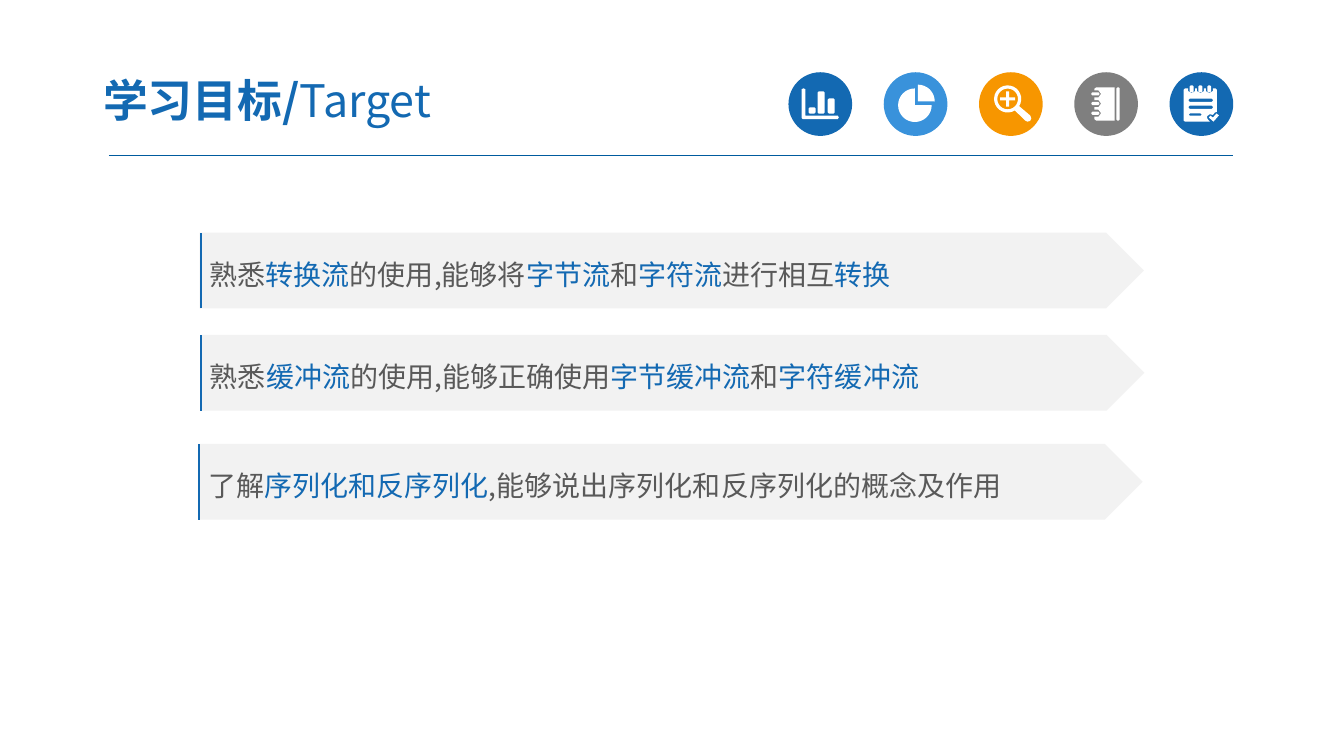
from math import cos, radians, sin

from lxml.etree import SubElement
from pptx import Presentation
from pptx.dml.color import RGBColor
from pptx.enum.shapes import MSO_CONNECTOR as Connector, MSO_SHAPE as Shape
from pptx.enum.text import MSO_ANCHOR as Anchor, MSO_AUTO_SIZE as AutoSize, PP_ALIGN as Align
from pptx.oxml.ns import qn
from pptx.util import Pt

FONT = "Noto Sans CJK SC"
BLUE = RGBColor(0x13, 0x69, 0xB2)
SKY = RGBColor(0x39, 0x92, 0xDB)
ORANGE = RGBColor(0xF7, 0x96, 0x00)
GRAY = RGBColor(0x7F, 0x7F, 0x7F)
RULE = RGBColor(0x00, 0x5B, 0x9E)
PALE = RGBColor(0xF2, 0xF2, 0xF2)
TEXT = RGBColor(0x59, 0x59, 0x59)
WHITE = RGBColor(0xFF, 0xFF, 0xFF)

ICON_LEFT, ICON_TOP, ICON_SIZE, ICON_PITCH = 563.2, 51.6, 45.5, 68.05
BAR_WIDTH, BAR_HEIGHT = 674.5, 54.2

GOALS = [
    (142.6, 166.1, [("熟悉", TEXT), ("转换流", BLUE), ("的使用,能够将", TEXT), ("字节流", BLUE),
                    ("和", TEXT), ("字符流", BLUE), ("进行相互", TEXT), ("转换", BLUE)]),
    (142.9, 239.2, [("熟悉", TEXT), ("缓冲流", BLUE), ("的使用,能够正确使用", TEXT),
                    ("字节缓冲流", BLUE), ("和", TEXT), ("字符缓冲流", BLUE)]),
    (141.7, 317, [("了解", TEXT), ("序列化和反序列化", BLUE),
                  (",能够说出序列化和反序列化的概念及作用", TEXT)]),
]


def add_run(paragraph, text, size, color, bold=False):
    run = paragraph.add_run()
    run.text = text
    run.font.size = Pt(size)
    run.font.bold = bold
    run.font.color.rgb = color
    run.font.name = FONT
    SubElement(run.font._element, qn("a:ea")).set("typeface", FONT)


def add_filled(shapes, kind, left, top, width, height, color):
    shape = shapes.add_shape(kind, Pt(left), Pt(top), Pt(width), Pt(height))
    paint(shape, color)
    return shape


def paint(shape, color):
    shape.shadow.inherit = False
    shape.fill.solid()
    shape.fill.fore_color.rgb = color
    shape.line.fill.background()


def add_outline(shapes, contours, left, top, close=True):
    placed = [[(Pt(left + x), Pt(top + y)) for x, y in contour] for contour in contours]
    builder = shapes.build_freeform(*placed[0][0])
    for index, points in enumerate(placed):
        if index:
            builder.move_to(*points[0])
        builder.add_line_segments(points[1:], close=close)
    return builder.convert_to_shape()


def add_rule(slide):
    rule = slide.shapes.add_connector(Connector.STRAIGHT, Pt(77.8), Pt(111.4), Pt(880.6), Pt(111.4))
    rule.line.color.rgb = RULE
    rule.line.width = Pt(0.75)
    SubElement(rule._element.spPr, qn("a:effectLst"))


def add_title(slide):
    title = slide.shapes.title
    title.left, title.top, title.width, title.height = Pt(64.1), Pt(45.4), Pt(376), Pt(52)
    frame = title.text_frame
    frame.auto_size = AutoSize.NONE
    frame.vertical_anchor = Anchor.MIDDLE
    frame.margin_left = frame.margin_right = Pt(9.6)
    frame.margin_top = frame.margin_bottom = Pt(4.8)
    paragraph = frame.paragraphs[0]
    paragraph.alignment = Align.LEFT
    add_run(paragraph, "学习目标/", 32, BLUE, True)
    add_run(paragraph, "Target", 32, BLUE)


def arc(x, y, radius, start, end, steps):
    angles = [radians(start + (end - start) * step / steps) for step in range(steps + 1)]
    return [(x + radius * cos(angle), y + radius * sin(angle)) for angle in angles]


def box(left, top, width, height, cut=0.8):
    right, bottom = left + width, top + height
    return [(left + cut, top), (right - cut, top), (right, top + cut), (right, bottom - cut),
            (right - cut, bottom), (left + cut, bottom), (left, bottom - cut), (left, top + cut)]


def chart_contours():
    axes = [(9.4, 12.2), (10.8, 11.5), (12.2, 12.2), (12.2, 31), (35.3, 31), (36, 32.2),
            (35.3, 33.4), (10.1, 33.4), (9.4, 32.7)]
    columns = [(14.4, 4.4), (20.9, 15.8), (28.1, 10.8)]
    return [axes] + [box(left, 29.5 - height, 5, height) for left, height in columns]


def pie_contours():
    return [[(24.5, 20.9)] + arc(24.5, 20.9, 12, -90, 0, 8),
            [(22.3, 23.6)] + arc(22.3, 23.6, 12, 0, 270, 24)]


def magnifier_contours():
    x, y, arm, half = 20.5, 19.1, 5.4, 1.1
    handle = [(36.7, 31), (37.4, 33.1), (36.5, 34.8), (34.6, 35.3), (33.1, 34.6)]
    plus = [(x - half, y - arm), (x + half, y - arm), (x + half, y - half), (x + arm, y - half),
            (x + arm, y + half), (x + half, y + half), (x + half, y + arm), (x - half, y + arm),
            (x - half, y + half), (x - arm, y + half), (x - arm, y - half), (x - half, y - half)]
    return [arc(x, y, 9.7, 58, 392, 24) + handle, arc(x, y, 7.4, 0, 345, 23), plus]


def notebook_contours():
    rings = (15.5, 22.4, 29.3)
    cover = [(28.8, 34.6), (28.8, 10.8), (15.8, 10.8), (14.4, 11.8)]
    for y in rings:
        cover += [(14.4, y - 2.5), (17.3, y - 2.5), (19.2, y), (17.3, y + 2.5), (14.4, y + 2.5)]
    cover += [(14.4, 33.6), (15.8, 34.6)]
    return [cover, box(30.2, 10.8, 2.3, 23.8)] + [box(12.2, y - 1.15, 5.8, 2.3) for y in rings]


def notepad_contours():
    rings = (15.8, 22.1, 28.4)
    page = [(10.1, 34.6), (10.1, 12.6), (11.2, 11.5)]
    for x in rings:
        page += [(x - 2.5, 11.5), (x - 2.5, 13.5), (x, 15.1), (x + 2.5, 13.5), (x + 2.5, 11.5)]
    page += [(32.8, 11.5), (33.8, 12.6), (33.8, 28.4), (32.4, 28.8), (31, 30.5), (28.8, 30),
             (26.8, 31.5), (27, 33.2), (28.8, 35.3), (11.2, 35.3)]
    check = [(28.1, 32.4), (29.2, 31), (31, 32.4), (33.5, 29.5), (35.3, 30.8), (31.4, 35.3)]
    lines = [(18.9, 17.3, 2.3), (23.9, 17.3, 2.3), (29.5, 9.4, 1.6)]
    return ([page, check] + [box(13.7, top, width, height) for top, width, height in lines]
            + [box(x - 1.4, 9.4, 2.8, 5) for x in rings])


def add_icons(slide):
    icons = [(BLUE, chart_contours), (SKY, pie_contours), (ORANGE, magnifier_contours),
             (GRAY, notebook_contours), (BLUE, notepad_contours)]
    for index, (color, contours) in enumerate(icons):
        shapes = slide.shapes.add_group_shape().shapes
        left = ICON_LEFT + index * ICON_PITCH
        add_filled(shapes, Shape.OVAL, left, ICON_TOP, ICON_SIZE, ICON_SIZE, color)
        paint(add_outline(shapes, contours(), left, ICON_TOP), WHITE)


def add_goal(slide, left, top, pieces):
    shapes = slide.shapes.add_group_shape().shapes
    bar = add_filled(shapes, Shape.PENTAGON, left, top, BAR_WIDTH, BAR_HEIGHT, PALE)
    frame = bar.text_frame
    frame.word_wrap = True
    frame.vertical_anchor = Anchor.MIDDLE
    paragraph = frame.paragraphs[0]
    paragraph.alignment = Align.LEFT
    paragraph.line_spacing = 1.2
    for text, color in pieces:
        add_run(paragraph, text, 20, color)
    edge = add_outline(shapes, [[(0.7, BAR_HEIGHT), (0.7, 0)]], left, top, close=False)
    edge.shadow.inherit = False
    edge.fill.background()
    edge.line.color.rgb = BLUE
    edge.line.width = Pt(1.5)


def main():
    presentation = Presentation()
    presentation.slide_width, presentation.slide_height = Pt(960), Pt(540)
    slide = presentation.slides.add_slide(presentation.slide_layouts[5])
    add_rule(slide)
    add_icons(slide)
    add_title(slide)
    for left, top, pieces in GOALS:
        add_goal(slide, left, top, pieces)
    presentation.save("out.pptx")


if __name__ == "__main__":
    main()
